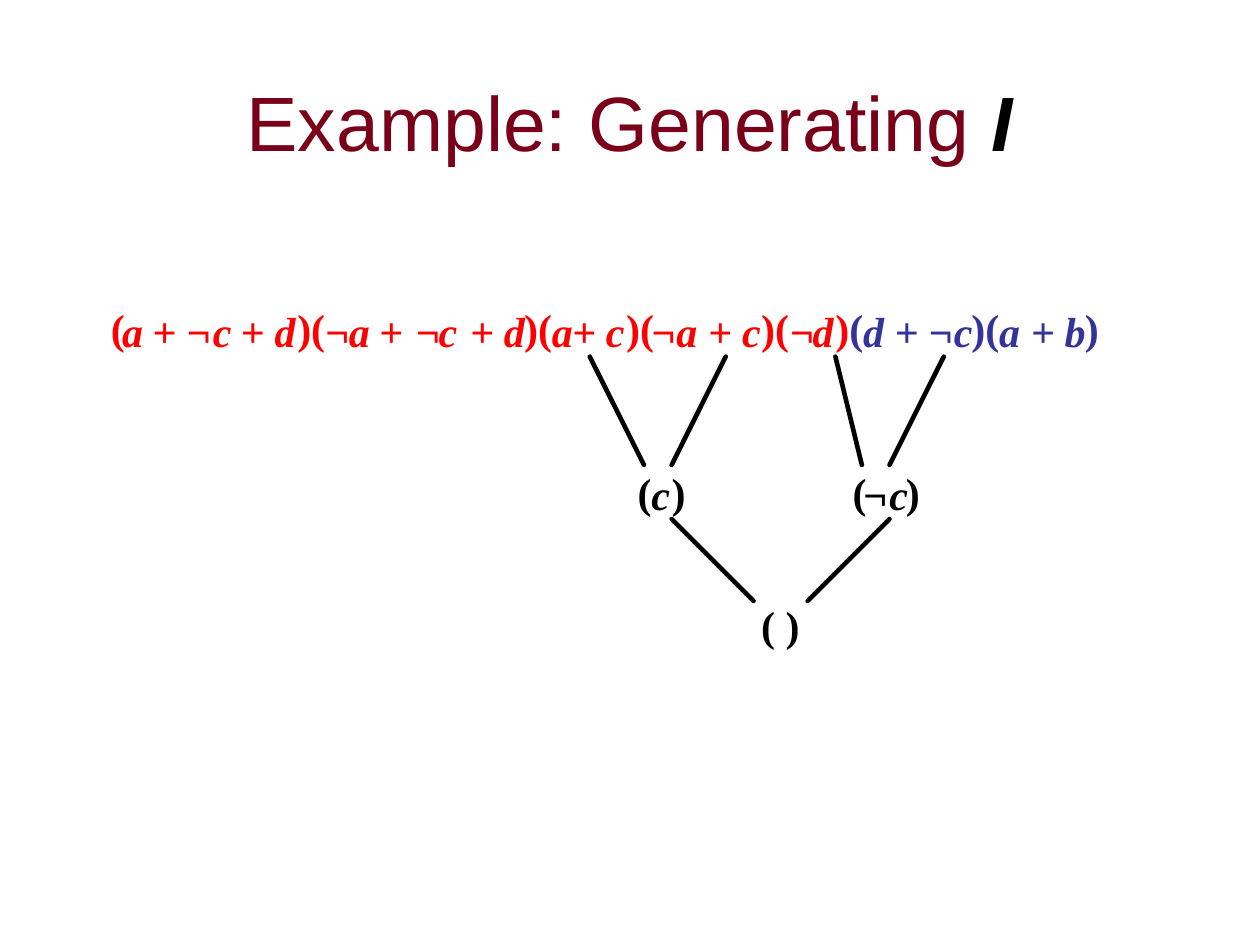
from lxml import etree
from pptx import Presentation
from pptx.dml.color import RGBColor
from pptx.enum.text import MSO_ANCHOR, MSO_AUTO_SIZE, PP_ALIGN
from pptx.oxml.ns import qn
from pptx.util import Pt

CENTER = PP_ALIGN.CENTER
MIDDLE = MSO_ANCHOR.MIDDLE
GROW = MSO_AUTO_SIZE.SHAPE_TO_FIT_TEXT

MAROON = RGBColor(0x7A, 0x00, 0x19)
RED = RGBColor(0xFF, 0x00, 0x00)
BLUE = RGBColor(0x33, 0x33, 0x99)
BLACK = RGBColor(0x00, 0x00, 0x00)

ROW_HEIGHT = 28.8
LITERAL_DROP = 1.6  # literals sit slightly lower than parentheses
SLACK = 2.4  # keeps a pair of symbols on one line
RESOLVENT_GAP = 103.4  # tab between the two resolvents

# Symbols with their offset from the left of the row
CORE_CLAUSES = [
    ("(", 0), ("a", 6.4), ("+", 23.7), ("¬", 43.2), ("c", 58.3),
    ("+", 74.1), ("d", 93.6),
    (")(", 106.5), ("¬", 122.4), ("a", 136), ("+", 153.3), ("¬", 174.2),
    ("c", 187.2), ("+", 205.2), ("d", 224.6),
    (")(", 236.1), ("a", 252), ("+", 263.5), ("c", 282.9),
    (")(", 294.4), ("¬", 308.8), ("a", 323.2), ("+", 341.2), ("c", 360.7),
    (")(", 371.5), ("¬", 388), ("d", 401), (")", 414),
]
OTHER_CLAUSES = [
    ("(", 0), ("d", 7.9), ("+", 25.9), ("¬c", 45.3),
    (")(", 69.8), ("a", 85.7), ("+", 103.7), ("b", 123.1), (")", 134.6),
]
RESOLVENTS = [
    ("(", 0), ("c", 7.9), (")\t(", 19.5), ("¬", 128.9), ("c", 144), (")", 153.4),
]
EMPTY_CLAUSE = [("( )", 0)]


def add_title(slide, left, top, width, height):
    title = slide.shapes.title
    title.left, title.top = Pt(left), Pt(top)
    title.width, title.height = Pt(width), Pt(height)
    title.text_frame.vertical_anchor = MIDDLE
    heading = title.text_frame.paragraphs[0]
    heading.alignment = CENTER
    heading.font.size = Pt(44)
    heading.font.name = "Arial"
    heading.font.color.rgb = MAROON
    heading.add_run().text = "Example: Generating "
    symbol = heading.add_run()
    symbol.text = "I"
    symbol.font.bold = symbol.font.italic = True
    symbol.font.color.rgb = BLACK


def add_symbol(slide, text, left, top, width, color):
    is_literal = "(" not in text and ")" not in text
    drop = LITERAL_DROP if is_literal else 0
    box = slide.shapes.add_textbox(Pt(left), Pt(top + drop), Pt(width), Pt(ROW_HEIGHT))
    frame = box.text_frame
    frame.margin_left = frame.margin_top = frame.margin_right = frame.margin_bottom = 0
    frame.word_wrap = False
    frame.auto_size = GROW
    symbol = frame.paragraphs[0]
    symbol.text = text
    if "\t" in text:
        tabs = etree.SubElement(symbol._p.get_or_add_pPr(), qn("a:tabLst"))
        etree.SubElement(tabs, qn("a:tab"), pos=str(Pt(RESOLVENT_GAP)), algn="l")
    symbol.font.name = "Times New Roman"
    symbol.font.size = Pt(24)
    symbol.font.bold = True
    symbol.font.italic = is_literal
    symbol.font.color.rgb = color


def add_clauses(slide, symbols, left, top, width, color=BLACK):
    """Each symbol reaches just past the start of the next one."""
    ends = [offset for _, offset in symbols[1:]] + [width]
    for (text, offset), end in zip(symbols, ends):
        add_symbol(slide, text, left + offset, top, end - offset + SLACK, color)


def add_resolution_lines(slide, top, bottom, spans):
    for upper_x, lower_x in spans:
        edge = slide.shapes.add_connector(1, Pt(upper_x), Pt(top), Pt(lower_x), Pt(bottom))
        edge.line.color.rgb = BLACK
        edge.line.width = Pt(2.64)
        edge.line._get_or_add_ln().set("cap", "rnd")
        etree.SubElement(edge._element.spPr, qn("a:effectLst"))


def main():
    presentation = Presentation()
    presentation.slide_width, presentation.slide_height = Pt(720), Pt(540)
    slide = presentation.slides.add_slide(presentation.slide_layouts[5])

    add_title(slide, 54, 24, 612, 90)

    # Formula
    add_clauses(slide, CORE_CLAUSES, 63.4, 172.8, 421.9, RED)
    add_clauses(slide, OTHER_CLAUSES, 485.3, 172.8, 142.5, BLUE)

    # Resolvents
    add_clauses(slide, RESOLVENTS, 364.3, 266.4, 161.3)
    add_clauses(slide, EMPTY_CLAUSE, 434.9, 342.7, 22.3)

    # Resolution steps
    add_resolution_lines(slide, 203.8, 265.7, [
        (337, 368), (414.7, 383.8), (477.4, 492.5), (539.3, 508.3)])
    add_resolution_lines(slide, 296.6, 343.4, [(383.8, 430.6), (508.3, 461.5)])

    presentation.save("out.pptx")


if __name__ == "__main__":
    main()
